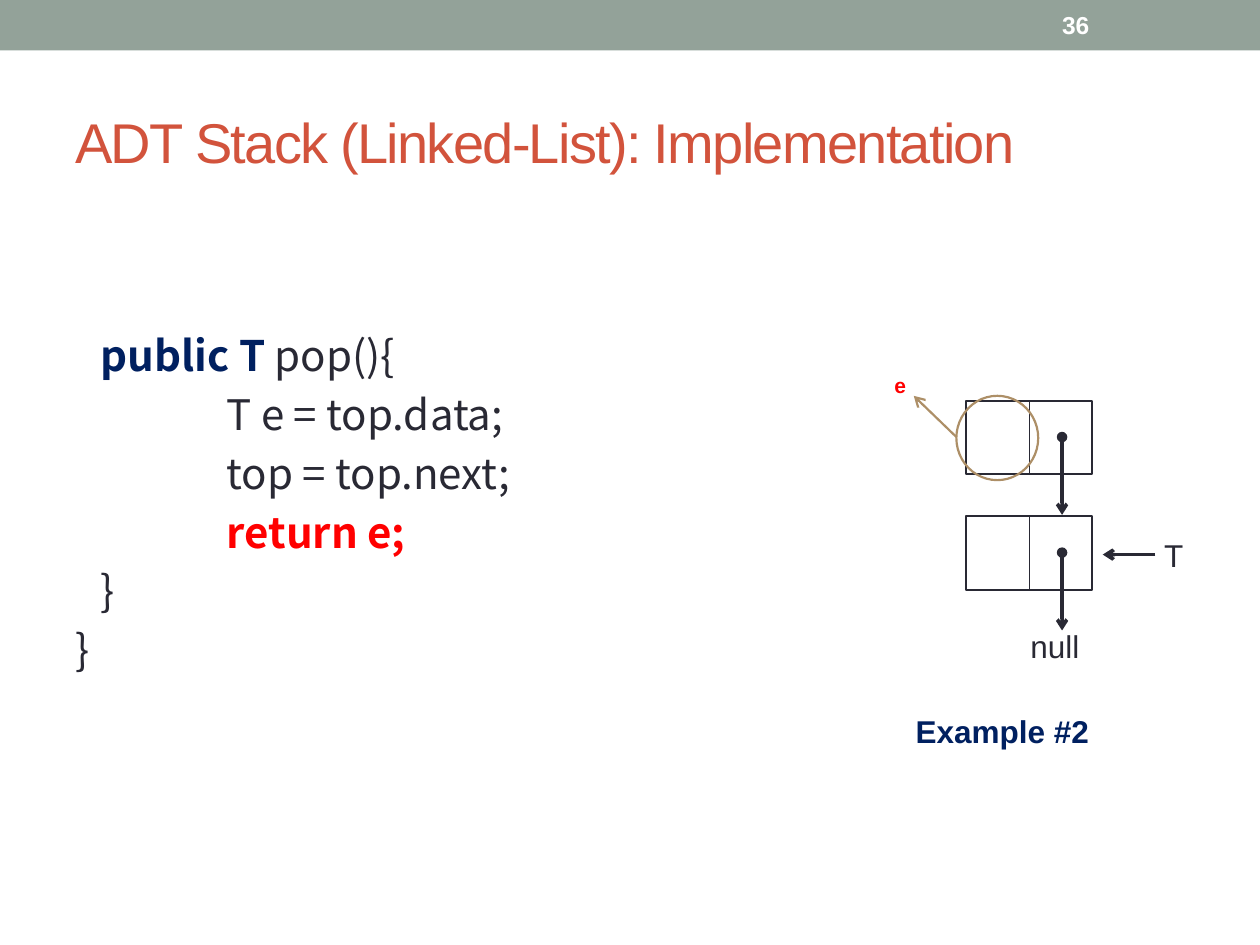
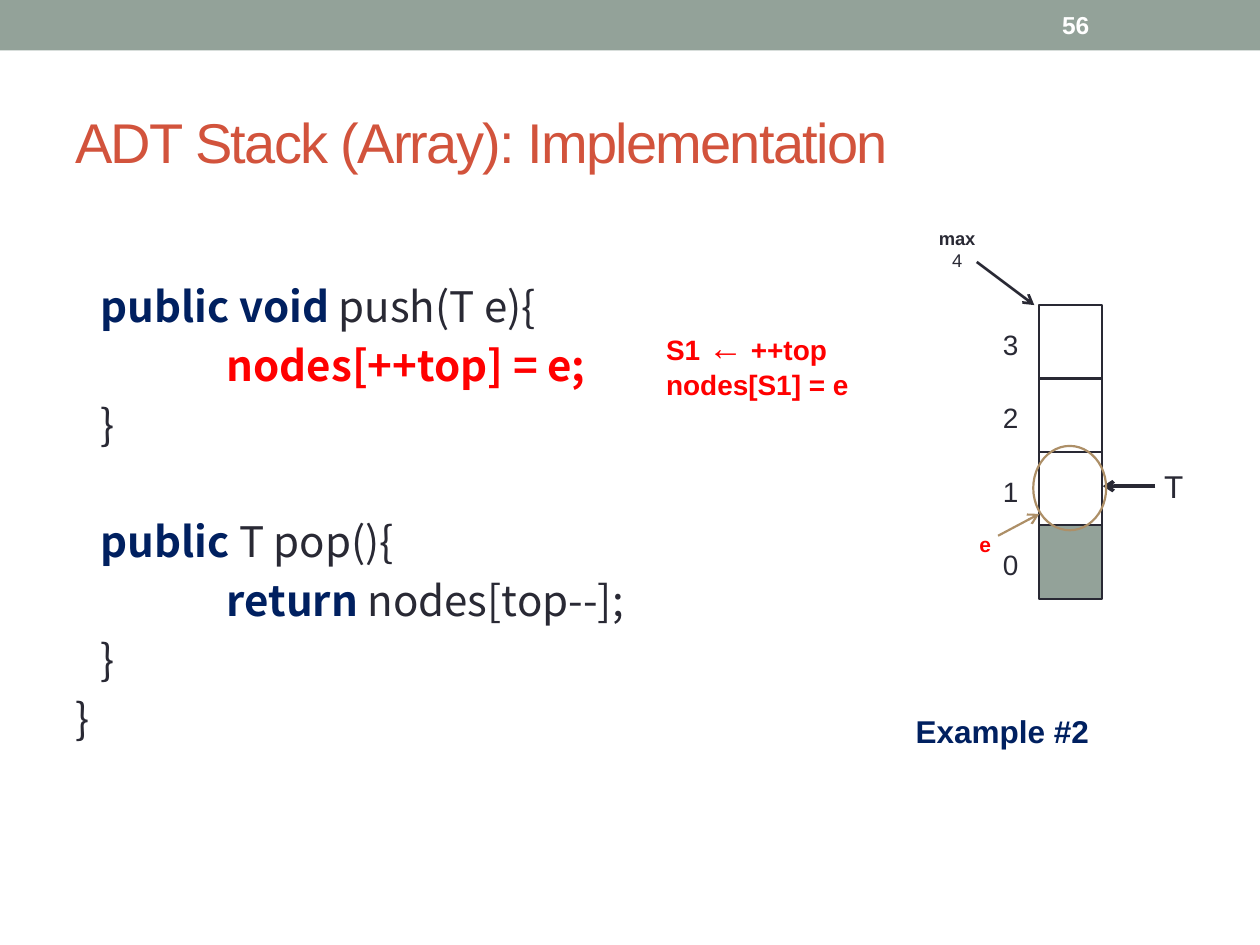
from dataclasses import dataclass
from typing import Optional

import lxml.etree
import pptx
import pptx.dml.color
import pptx.enum.shapes
import pptx.enum.text
import pptx.oxml.ns
import pptx.util

Cm = pptx.util.Cm
Pt = pptx.util.Pt
Shape = pptx.enum.shapes.MSO_SHAPE
Align = pptx.enum.text.PP_ALIGN
Anchor = pptx.enum.text.MSO_ANCHOR

SAGE = "93A299"
BRICK = "D2533C"
INK = "292934"
NAVY = "002060"
RED = "FF0000"
TAN = "AD8F67"
WHITE = "FFFFFF"
BODY_FONT = "Arial"
CODE_FONT = "Noto Sans CJK SC"
CODE_PITCH = 33.6
CODE_INDENTS = (0, 0.51, 3.05)
CELL_HEIGHT = 1.48


@dataclass(frozen=True)
class Area:
    left: float
    top: float
    width: float
    height: float

    def lengths(self) -> tuple:
        return Cm(self.left), Cm(self.top), Cm(self.width), Cm(self.height)


@dataclass(frozen=True)
class Span:
    text: str
    color: str = INK
    bold: bool = False
    size: Optional[float] = None


@dataclass(frozen=True)
class CodeLine:
    level: int
    spans: tuple
    gap_before: bool = False


@dataclass(frozen=True)
class Arrow:
    start: tuple
    end: tuple
    color: str = INK
    weight: float = 2
    head: Optional[str] = None
    tail: Optional[str] = "arrow"


def rgb(value: str):
    return pptx.dml.color.RGBColor.from_string(value)


def add_spans(para, spans: tuple, size: float, font: str = BODY_FONT) -> None:
    for span in spans:
        run = para.add_run()
        run.text = span.text
        run.font.name = font
        run.font.size = Pt(span.size or size)
        run.font.bold = span.bold
        run.font.color.rgb = rgb(span.color)


def add_text(page, area: Area, lines: tuple, size: float, wrap: bool = False,
             align=Align.LEFT, anchor=Anchor.TOP):
    box = page.shapes.add_textbox(*area.lengths())
    frame = box.text_frame
    frame.word_wrap = wrap
    frame.vertical_anchor = anchor
    for index, spans in enumerate(lines):
        para = frame.paragraphs[0] if index == 0 else frame.add_paragraph()
        para.alignment = align
        add_spans(para, spans, size)
    return box


def add_figure(page, kind, area: Area, fill: Optional[str], line: Optional[str]) -> None:
    figure = page.shapes.add_shape(kind, *area.lengths())
    figure.shadow.inherit = False
    if fill:
        figure.fill.solid()
        figure.fill.fore_color.rgb = rgb(fill)
    else:
        figure.fill.background()
    if line:
        figure.line.color.rgb = rgb(line)
        figure.line.width = Pt(1.25)
    else:
        figure.line.fill.background()


def add_arrow(page, arrow: Arrow) -> None:
    connector = page.shapes.add_connector(
        pptx.enum.shapes.MSO_CONNECTOR.STRAIGHT,
        *(Cm(value) for value in arrow.start + arrow.end))
    connector.line.color.rgb = rgb(arrow.color)
    connector.line.width = Pt(arrow.weight)
    outline = connector.line._get_or_add_ln()
    for tag, kind in (("a:headEnd", arrow.head), ("a:tailEnd", arrow.tail)):
        if kind:
            lxml.etree.SubElement(outline, pptx.oxml.ns.qn(tag), type=kind)
    lxml.etree.SubElement(connector._element.spPr, pptx.oxml.ns.qn("a:effectLst"))


def add_code(page, first_line_inset: float, lines: tuple) -> None:
    box = page.shapes.add_textbox(*Area(1.27, 4.45, 22.86, 13.54).lengths())
    frame = box.text_frame
    frame.word_wrap = True
    frame.margin_top = Cm(first_line_inset)
    for index, line in enumerate(lines):
        para = frame.paragraphs[0] if index == 0 else frame.add_paragraph()
        para.line_spacing = Pt(CODE_PITCH)
        para.space_before = Pt(CODE_PITCH if line.gap_before else 0)
        para._p.get_or_add_pPr().set("marL", str(Cm(CODE_INDENTS[line.level])))
        add_spans(para, line.spans, 24, CODE_FONT)


def add_page(deck, title: str, number: int):
    page = deck.slides.add_slide(deck.slide_layouts[6])
    add_figure(page, Shape.RECTANGLE, Area(0, 0, 25.4, 1.02), SAGE, None)
    heading = add_text(page, Area(1.27, 1.47, 22.86, 2.74), ((Span(title, BRICK),),), 32,
                       wrap=True, anchor=Anchor.MIDDLE)
    for run in heading.text_frame.paragraphs[0].runs:
        run.font._element.set("spc", "-100")
    add_text(page, Area(21.16, 0.05, 2.97, 0.91), ((Span(str(number), WHITE, True),),), 14,
             wrap=True, anchor=Anchor.MIDDLE)
    add_text(page, Area(18.21, 14.22, 4.17, 1.02), ((Span("Example #2", NAVY, True),),), 18)
    return page


def add_top_marker(page, height: float) -> None:
    add_arrow(page, Arrow((23.29, height), (22.23, height)))
    add_text(page, Area(23.22, height - 0.5, 0.91, 1.02), ((Span("T"),),), 18)


def add_element_marker(page, circle: Area, arrow: Arrow, label: Area) -> None:
    add_figure(page, Shape.OVAL, circle, None, TAN)
    add_arrow(page, arrow)
    add_text(page, label, ((Span("e", RED, True),),), 12, align=Align.CENTER)


def add_node(page, top: float) -> None:
    add_figure(page, Shape.RECTANGLE, Area(19.48, top, 2.54, CELL_HEIGHT), WHITE, INK)
    add_arrow(page, Arrow((20.75, top), (20.75, top + CELL_HEIGHT), weight=0.75, tail=None))
    add_arrow(page, Arrow((21.41, top + 0.73), (21.41, top + 2.3), head="oval"))


def build_linked_list_page(deck) -> None:
    page = add_page(deck, "ADT Stack (Linked-List): Implementation", 36)
    add_code(page, 2.03, (
        CodeLine(1, (Span("public T", NAVY, True), Span(" pop(){"))),
        CodeLine(2, (Span("T e = top.data;"),)),
        CodeLine(2, (Span("top = top.next;"),)),
        CodeLine(2, (Span("return e;", RED, True),)),
        CodeLine(1, (Span("}"),)),
        CodeLine(0, (Span("}"),)),
    ))
    for top in (10.41, 8.08):
        add_node(page, top)
    add_text(page, Area(20.52, 12.52, 1.68, 1.02), ((Span("null"),),), 18)
    add_element_marker(page, Area(19.28, 7.98, 1.65, 1.7),
                       Arrow((19.28, 8.81), (18.42, 7.98), TAN, 1.25),
                       Area(17.78, 7.39, 0.64, 0.76))
    add_top_marker(page, 11.18)


def build_array_page(deck) -> None:
    page = add_page(deck, "ADT Stack (Array): Implementation", 56)
    add_code(page, 1.04, (
        CodeLine(1, (Span("public void ", NAVY, True), Span("push(T e){"))),
        CodeLine(2, (Span("nodes[++top] = e;", RED, True),)),
        CodeLine(1, (Span("}"),)),
        CodeLine(1, (Span("public ", NAVY, True), Span("T pop(){")), gap_before=True),
        CodeLine(2, (Span("return ", NAVY, True), Span("nodes[top--];"))),
        CodeLine(1, (Span("}"),)),
        CodeLine(0, (Span("}"),)),
    ))
    for row, index in enumerate((3, 2, 1, 0)):
        offset = row * CELL_HEIGHT
        add_figure(page, Shape.RECTANGLE, Area(20.95, 6.15 + offset, 1.27, CELL_HEIGHT),
                   SAGE if index == 0 else WHITE, INK)
        add_text(page, Area(19.97, 6.48 + offset, 0.86, 0.94), ((Span(str(index)),),), 16)
    add_arrow(page, Arrow((19.69, 5.28), (20.85, 6.15), weight=1.5))
    add_text(page, Area(18.62, 4.45, 1.35, 1.19), ((Span("max", bold=True),), (Span("4"),)),
             10.5, align=Align.CENTER)
    add_top_marker(page, 9.8)
    add_element_marker(page, Area(20.83, 8.99, 1.47, 1.7),
                       Arrow((20.12, 10.8), (20.95, 10.36), TAN, 1.25),
                       Area(19.48, 10.59, 0.76, 0.76))
    add_text(page, Area(13.18, 6.43, 4.37, 1.8), (
        (Span("S1 ", RED, True), Span("←", RED, True, 20), Span(" ++top", RED, True)),
        (Span("nodes[S1] = e", RED, True),),
    ), 16)


def main() -> None:
    deck = pptx.Presentation()
    deck.slide_width = Cm(25.4)
    deck.slide_height = Cm(19.05)
    build_linked_list_page(deck)
    build_array_page(deck)
    deck.save("out.pptx")


main()
